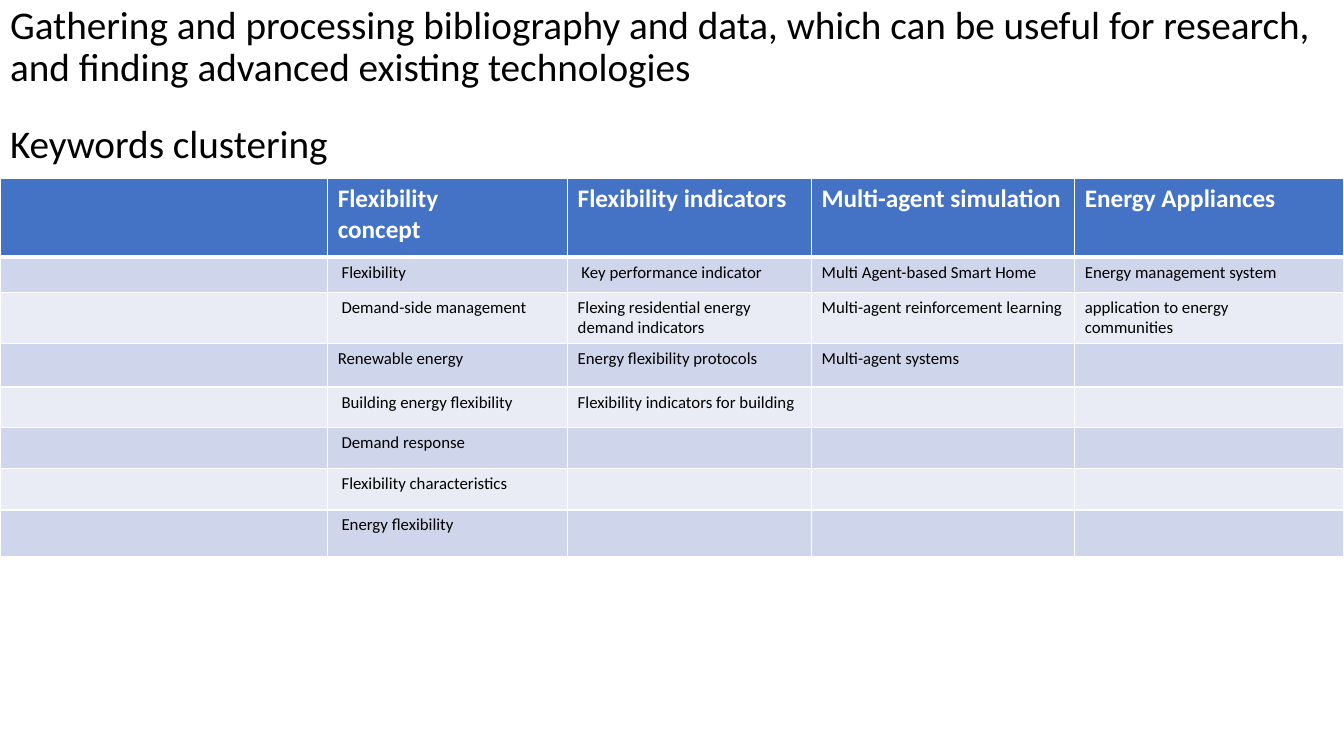
import pptx
import pptx.util
import pptx.dml.color
import pptx.enum.text
import pptx.oxml.ns
from lxml import etree

Inches = pptx.util.Inches
Pt = pptx.util.Pt
qn = pptx.oxml.ns.qn

FONT = "Calibri"
COLORS = {
    "text": "000000",
    "white": "FFFFFF",
    "header": "4472C4",
    "odd": "CFD5EA",
    "even": "E9EBF5",
}

TITLE = ("Gathering and processing bibliography and data, which can be useful "
         "for research, and finding advanced existing technologies")
SUBTITLE = "Keywords clustering"

COLUMN_WIDTHS = [3.25, 2.38, 2.42, 2.61, 2.67]
ROW_HEIGHTS = [0.78, 0.35, 0.51, 0.43, 0.4, 0.41, 0.41, 0.46]
# A line break inside a cell starts a new paragraph
KEYWORDS = [
    ["", "Flexibility\nconcept", "Flexibility indicators",
     "Multi-agent simulation", "Energy Appliances"],
    ["", " Flexibility", " Key performance indicator",
     "Multi Agent-based Smart Home", "Energy management system"],
    ["", " Demand-side management", "Flexing residential energy demand indicators",
     "Multi-agent reinforcement learning", "application to energy\ncommunities"],
    ["", "Renewable energy", "Energy flexibility protocols", "Multi-agent systems", ""],
    ["", " Building energy flexibility", "Flexibility indicators for building", "", ""],
    ["", " Demand response", "", "", ""],
    ["", " Flexibility characteristics", "", "", ""],
    ["", " Energy flexibility", "", "", ""],
]


def rgb(name):
    return pptx.dml.color.RGBColor.from_string(COLORS[name])


def add_span(para, text, size, color, bold=False):
    span = para.add_run()
    span.text = text
    span.font.name = FONT
    span.font.size = Pt(size)
    span.font.bold = bold
    span.font.color.rgb = rgb(color)


def fill_placeholder(box, text, left, top, width, height, anchor, space_before=0):
    box.left, box.top = Inches(left), Inches(top)
    box.width, box.height = Inches(width), Inches(height)
    frame = box.text_frame
    frame.word_wrap = True
    frame.auto_size = pptx.enum.text.MSO_AUTO_SIZE.NONE
    frame.vertical_anchor = anchor
    para = frame.paragraphs[0]
    para.alignment = pptx.enum.text.PP_ALIGN.LEFT
    para.line_spacing = 0.9
    para.space_before = Pt(space_before)
    add_span(para, text, 28, "text")
    # Plain paragraph without bullet or indent
    properties = para._p.get_or_add_pPr()
    properties.set("marL", "0")
    properties.set("indent", "0")
    etree.SubElement(properties, qn("a:buNone"))


def set_borders(cell, widths):
    """Draw white cell borders; widths maps L, R, T, B to points."""
    properties = cell._tc.get_or_add_tcPr()
    for index, (side, width) in enumerate(widths.items()):
        line = etree.Element(qn(f"a:ln{side}"), w=str(Pt(width)))
        solid = etree.SubElement(line, qn("a:solidFill"))
        etree.SubElement(solid, qn("a:srgbClr"), val=COLORS["white"])
        properties.insert(index, line)


def fill_cell(cell, text, row):
    header = row == 0
    cell.fill.solid()
    cell.fill.fore_color.rgb = rgb("header" if header else "odd" if row % 2 else "even")
    set_borders(cell, {"L": 1, "R": 1, "T": 3 if row == 1 else 1, "B": 3 if header else 1})
    size, color = (18, "white") if header else (12, "text")
    frame = cell.text_frame
    if not text:
        # Keep an empty cell from stretching its row
        etree.SubElement(frame.paragraphs[0]._p, qn("a:endParaRPr"), sz=str(size * 100))
        return
    for index, line in enumerate(text.split("\n")):
        para = frame.paragraphs[0] if index == 0 else frame.add_paragraph()
        add_span(para, line, size, color, bold=header)


def add_keyword_table(page, left, top):
    table = page.shapes.add_table(
        len(KEYWORDS), len(COLUMN_WIDTHS), Inches(left), Inches(top),
        Inches(sum(COLUMN_WIDTHS)), Inches(sum(ROW_HEIGHTS))).table
    for column, width in zip(table.columns, COLUMN_WIDTHS):
        column.width = Inches(width)
    for row, height in zip(table.rows, ROW_HEIGHTS):
        row.height = Inches(height)
    for row, texts in enumerate(KEYWORDS):
        for column, text in enumerate(texts):
            fill_cell(table.cell(row, column), text, row)


def main():
    deck = pptx.Presentation()
    deck.slide_width, deck.slide_height = Inches(13.33), Inches(7.5)
    page = deck.slides.add_slide(deck.slide_layouts[1])
    anchors = pptx.enum.text.MSO_ANCHOR

    # Title and subheading
    fill_placeholder(page.shapes.title, TITLE, 0, 0, 13.33, 0.95, anchors.MIDDLE)
    fill_placeholder(page.placeholders[1], SUBTITLE, 0, 1.19, 11.5, 4.76,
                     anchors.TOP, space_before=10)

    # Keyword clusters
    add_keyword_table(page, 0, 1.77)

    deck.save("out.pptx")


if __name__ == "__main__":
    main()
